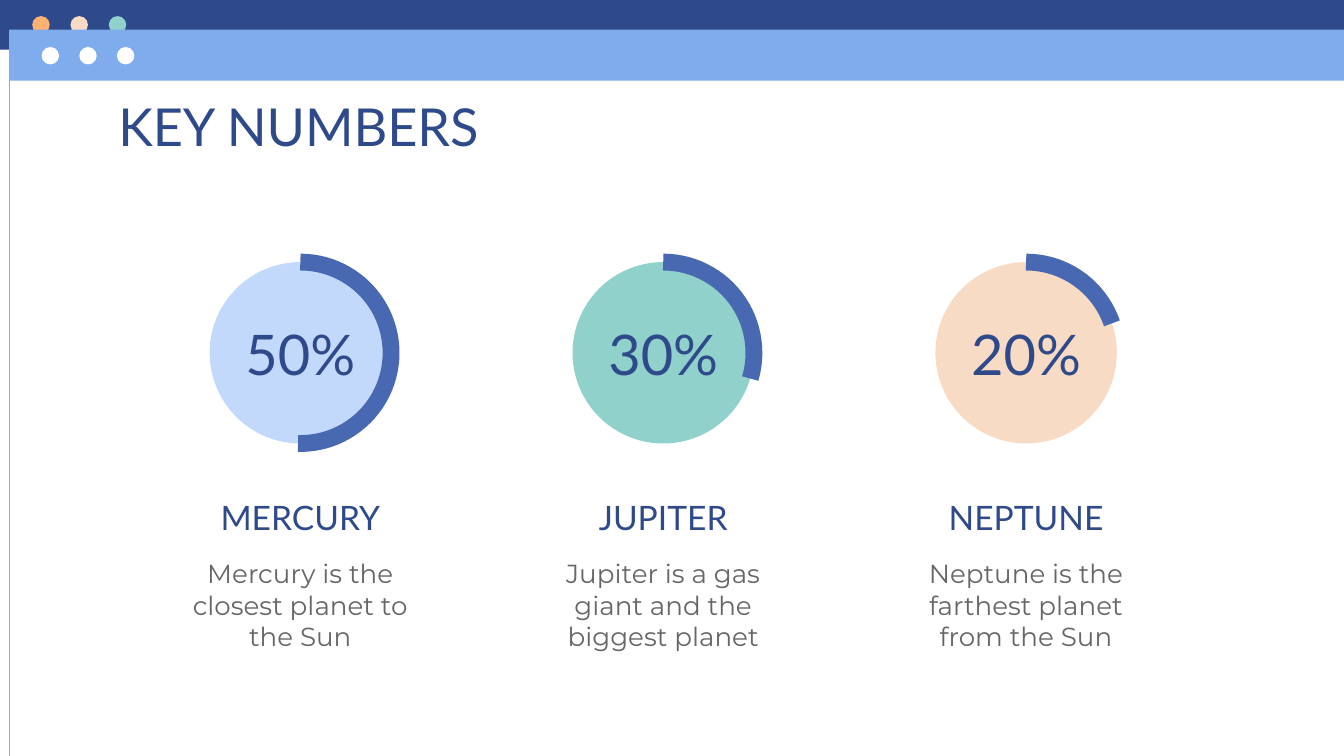
from pptx import Presentation
from pptx.dml.color import RGBColor
from pptx.enum.shapes import MSO_CONNECTOR, MSO_SHAPE
from pptx.enum.text import MSO_ANCHOR, MSO_AUTO_SIZE, PP_ALIGN
from pptx.oxml.ns import qn
from pptx.util import Inches, Pt

RECTANGLE, OVAL, ARC = MSO_SHAPE.RECTANGLE, MSO_SHAPE.OVAL, MSO_SHAPE.ARC
STRAIGHT = MSO_CONNECTOR.STRAIGHT
TOP, MIDDLE = MSO_ANCHOR.TOP, MSO_ANCHOR.MIDDLE
LEFT, CENTER = PP_ALIGN.LEFT, PP_ALIGN.CENTER
NO_AUTOFIT = MSO_AUTO_SIZE.NONE

NAVY, SKY, ROYAL = "2F4A8A", "7EACEC", "4869B1"
PEACH, TEAL, WHITE = "F8DBC4", "90D1CB", "FFFFFF"


def paint(color_format, hex_color):
    color_format.rgb = RGBColor.from_string(hex_color)


def write(box, text, font, size, color, align=CENTER, anchor=TOP):
    frame = box.text_frame
    frame_format = {"word_wrap": True, "auto_size": NO_AUTOFIT, "vertical_anchor": anchor}
    for side in ("left", "top", "right", "bottom"):
        frame_format[f"margin_{side}"] = Inches(0.1)
    for name, value in frame_format.items():
        setattr(frame, name, value)
    paragraph = frame.paragraphs[0]
    paragraph.alignment = align
    run = paragraph.add_run()
    run.text = text
    run.font.name = font
    run.font.size = Pt(size)
    paint(run.font.color, color)


prs = Presentation()
prs.slide_width, prs.slide_height = Inches(10), Inches(5.625)
slide = prs.slides.add_slide(prs.slide_layouts[5])
shapes = slide.shapes

# Two overlapping window bars, each with three buttons
# (bar left, top, height, colour, first button left, button top, button step, colours)
windows = [
    (0, 0, 0.37, NAVY, 0.24, 0.12, 0.285, ("FFB172", PEACH, TEAL)),
    (0.07, 0.22, 0.38, SKY, 0.31, 0.35, 0.28, (WHITE, WHITE, WHITE)),
]
for left, top, height, bar_color, first, button_top, step, button_colors in windows:
    parts = [(RECTANGLE, left, top, 10 - left, height, bar_color)]
    for i, button_color in enumerate(button_colors):
        parts.append((OVAL, first + i * step, button_top, 0.13, 0.13, button_color))
    for kind, x, y, w, h, color in parts:
        part = shapes.add_shape(kind, Inches(x), Inches(y), Inches(w), Inches(h))
        part.shadow.inherit = False
        part.fill.solid()
        paint(part.fill.fore_color, color)
        part.line.fill.background()

# Left edge of the front window
edge = shapes.add_connector(STRAIGHT, Inches(0.07), Inches(0.22), Inches(0.07), Inches(5.625))
paint(edge.line.color, SKY)
edge.line.width = Pt(0.75)
edge_properties = edge._element.spPr
edge_properties.append(edge_properties.makeelement(qn("a:effectLst"), {}))

# Slide title
title = shapes.title
title.left, title.top = Inches(0.78), Inches(0.6)
title.width, title.height = Inches(8.44), Inches(0.51)
write(title, "KEY NUMBERS", "Lato", 28, NAVY, align=LEFT)

# Planet columns: disc, percentage, name, description and progress arc
# (percentage, name, description, disc colour, arc end in degrees)
planets = [
    ("50%", "MERCURY", "Mercury is the closest planet to the Sun", "C3D9FB", 91.45),
    ("30%", "JUPITER", "Jupiter is a gas giant and the biggest planet", TEAL, 16.5),
    ("20%", "NEPTUNE", "Neptune is the farthest planet from the Sun", PEACH, 341.06),
]
ADJUSTMENT_PER_DEGREE = 0.6
for i, (percentage, planet, description, disc_color, arc_end) in enumerate(planets):
    column_left = 1.33 + i * 2.7
    dial = Inches(column_left + 0.23), Inches(1.95), Inches(1.35), Inches(1.35)

    disc = shapes.add_shape(OVAL, *dial)
    disc.shadow.inherit = False
    disc.fill.solid()
    paint(disc.fill.fore_color, disc_color)
    disc.line.fill.background()

    labels = [
        (percentage, 2.32, 0.62, "Lato", 30, NAVY, MIDDLE),
        (planet, 3.6, 0.51, "Lato", 18, NAVY, TOP),
        (description, 4.05, 0.89, "Montserrat", 14, "666666", TOP),
    ]
    for text, top, height, font, size, color, anchor in labels:
        label = shapes.add_textbox(Inches(column_left), Inches(top), Inches(1.81), Inches(height))
        write(label, text, font, size, color, anchor=anchor)

    progress = shapes.add_shape(ARC, *dial)
    progress.shadow.inherit = False
    progress.fill.background()
    progress.adjustments[0] = 270 * ADJUSTMENT_PER_DEGREE
    progress.adjustments[1] = arc_end * ADJUSTMENT_PER_DEGREE
    paint(progress.line.color, ROYAL)
    progress.line.width = Pt(9)

prs.save("out.pptx")
